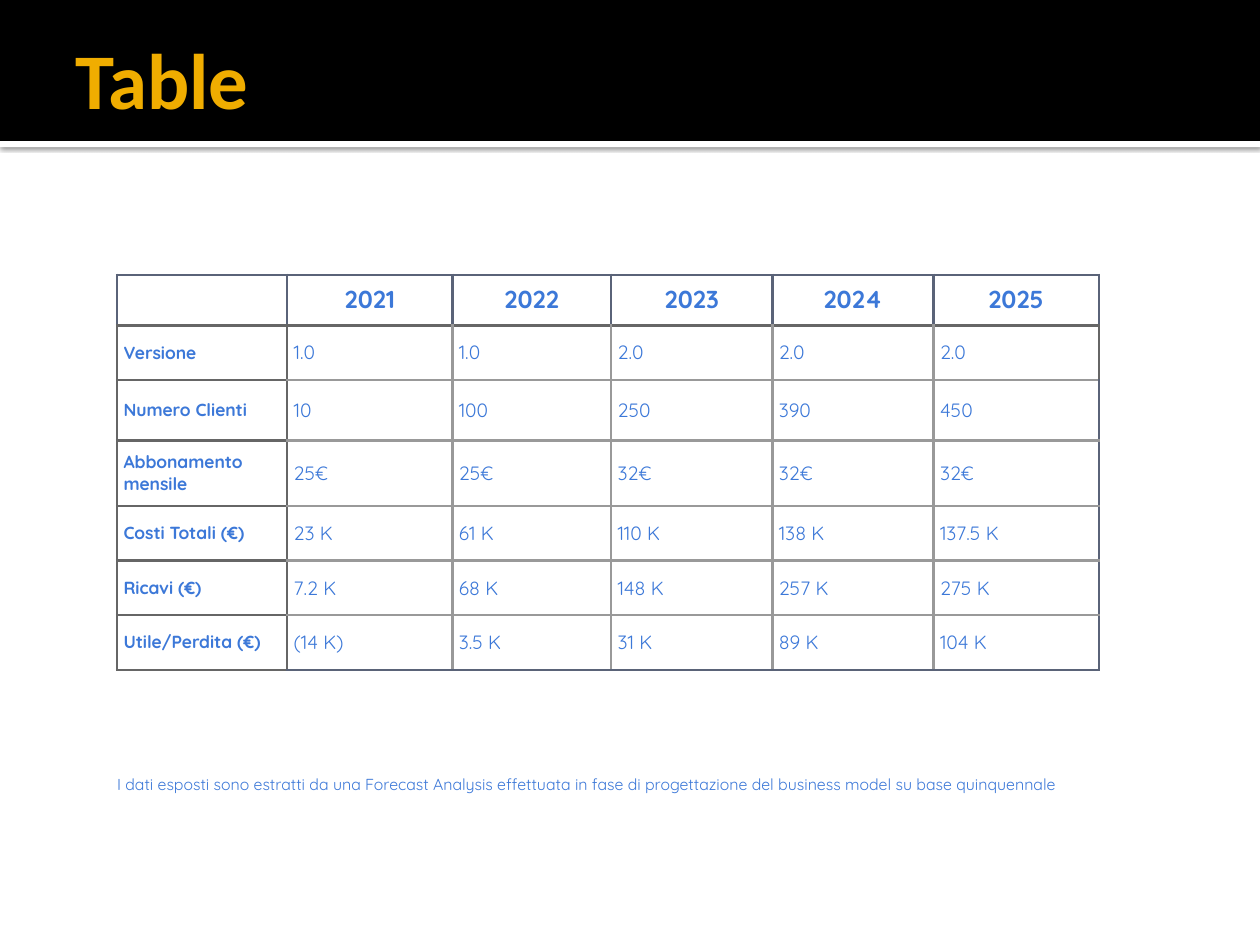
from typing import NamedTuple

import pptx
import pptx.dml.color
import pptx.enum.shapes
import pptx.enum.text
import pptx.oxml
import pptx.oxml.ns
import pptx.util
from pptx.dml.color import RGBColor
from pptx.util import Cm, Pt

BLACK = RGBColor(0x00, 0x00, 0x00)
WHITE = RGBColor(0xFF, 0xFF, 0xFF)
GOLD = RGBColor(0xF0, 0xAD, 0x00)
BLUE = RGBColor(0x3C, 0x78, 0xD8)
SLATE = RGBColor(0x5A, 0x63, 0x78)
DARK = RGBColor(0x66, 0x66, 0x66)
GREY = RGBColor(0x99, 0x99, 0x99)

ALIGN = pptx.enum.text.PP_ALIGN
ANCHOR = pptx.enum.text.MSO_ANCHOR


class Box(NamedTuple):
    """Place and size in centimetres."""
    left: float
    top: float
    width: float
    height: float


class Row(NamedTuple):
    label: str
    height: float
    values: tuple[str, ...]


COLS = (3.43, 3.33, 3.2, 3.25, 3.25, 3.33)
ROWS = (
    Row("", 1.02, ("2021", "2022", "2023", "2024", "2025")),
    Row("Versione", 1.1, ("1.0", "1.0", "2.0", "2.0", "2.0")),
    Row("Numero Clienti", 1.22, ("10", "100", "250", "390", "450")),
    Row("Abbonamento mensile", 1.32, ("25€", "25€", "32€", "32€", "32€")),
    Row("Costi Totali (€)", 1.1, ("23 K", "61 K", "110 K", "138 K", "137.5 K")),
    Row("Ricavi (€)", 1.1, ("7.2 K", "68 K", "148 K", "257 K", "275 K")),
    Row("Utile/Perdita (€)", 1.1, ("(14 K)", "3.5 K", "31 K", "89 K", "104 K")),
)
LAST_ROW, LAST_COL = len(ROWS) - 1, len(COLS) - 1


def spot(box: Box) -> list[pptx.util.Length]:
    return [Cm(side) for side in box]


def write(frame, text: str, *, size: float, color: RGBColor = BLUE,
          font: str = "Quicksand", bold: bool = False, align=ALIGN.LEFT) -> None:
    frame.word_wrap = True
    para = frame.paragraphs[0]
    para.alignment = align
    run = para.add_run()
    run.text = text
    run.font.name = font
    run.font.size = Pt(size)
    run.font.bold = bold
    run.font.color.rgb = color


def add_bar(slide, box: Box, color: RGBColor):
    bar = slide.shapes.add_shape(
        pptx.enum.shapes.MSO_SHAPE.RECTANGLE, *spot(box))
    bar.shadow.inherit = False
    bar.fill.solid()
    bar.fill.fore_color.rgb = color
    bar.line.fill.background()
    return bar


def add_shade(shape) -> None:
    """Give the shape a soft shadow straight below it."""
    effects = shape.element.spPr.find(pptx.oxml.ns.qn("a:effectLst"))
    effects.append(pptx.oxml.parse_xml(
        f'<a:outerShdw {pptx.oxml.ns.nsdecls("a")} blurRad="{Pt(2.5)}" '
        f'dist="{Pt(0.8)}" dir="5400000" algn="tl" rotWithShape="0">'
        f'<a:srgbClr val="{BLACK}"><a:alpha val="60000"/></a:srgbClr>'
        '</a:outerShdw>'))


def add_text(slide, box: Box, text: str, anchor=ANCHOR.TOP, **style) -> None:
    frame = slide.shapes.add_textbox(*spot(box)).text_frame
    frame.vertical_anchor = anchor
    write(frame, text, **style)


def under(row: int, col: int) -> RGBColor:
    """Colour of the rule below a cell; row -1 stands for the top edge."""
    if row < 0:
        return SLATE
    if row == 0 or col == 0:
        return DARK
    return SLATE if row == LAST_ROW else GREY


def beside(row: int, col: int) -> RGBColor:
    """Colour of the rule right of a cell; column -1 stands for the left edge."""
    if row == 0:
        return SLATE
    if col <= 0:
        return DARK
    if col == LAST_COL:
        return DARK if row == 1 else SLATE
    return GREY


def add_rules(cell, row: int, col: int) -> None:
    rules = {"L": beside(row, col - 1), "R": beside(row, col),
             "T": under(row - 1, col), "B": under(row, col)}
    props = cell._tc.get_or_add_tcPr()
    for spot_no, (side, color) in enumerate(rules.items()):
        props.insert(spot_no, pptx.oxml.parse_xml(
            f'<a:ln{side} {pptx.oxml.ns.nsdecls("a")} w="{Pt(1.5)}">'
            f'<a:solidFill><a:srgbClr val="{color}"/></a:solidFill>'
            f'</a:ln{side}>'))


def fill_cell(cell, text: str, row: int, col: int) -> None:
    cell.fill.background()
    add_rules(cell, row, col)
    cell.margin_left = cell.margin_right = Cm(0.13)
    cell.margin_top = cell.margin_bottom = Cm(0.18 if text else 0)
    cell.vertical_anchor = ANCHOR.MIDDLE if row else ANCHOR.TOP
    if not text:
        return
    if row == 0:
        style = {"size": 14, "bold": True, "align": ALIGN.CENTER}
    elif col == 0:
        style = {"size": 10, "bold": True}
    else:
        style = {"size": 11}
    write(cell.text_frame, text, **style)


def add_grid(slide, left: float, top: float) -> None:
    box = Box(left, top, sum(COLS), sum(row.height for row in ROWS))
    table = slide.shapes.add_table(len(ROWS), len(COLS), *spot(box)).table
    table.horz_banding = False
    table.first_row = False
    for col, width in enumerate(COLS):
        table.columns[col].width = Cm(width)
    for num, row in enumerate(ROWS):
        table.rows[num].height = Cm(row.height)
        for col, text in enumerate((row.label, *row.values)):
            fill_cell(table.cell(num, col), text, num, col)


def main() -> None:
    deck = pptx.Presentation()
    deck.slide_width, deck.slide_height = Cm(25.4), Cm(19.05)
    slide = deck.slides.add_slide(deck.slide_layouts[6])

    add_shade(add_bar(slide, Box(0, 2.84, 25.4, 0.13), WHITE))
    add_bar(slide, Box(0, 0, 25.4, 2.84), BLACK)
    add_text(slide, Box(1.27, 0.2, 22.86, 2.74), "Table", ANCHOR.MIDDLE,
             size=45, font="Calibri", color=GOLD, bold=True)
    add_grid(slide, 2.36, 5.54)
    add_text(slide, Box(2.11, 15.49, 20.93, 0.64),
             "I dati esposti sono estratti da una Forecast Analysis effettuata "
             "in fase di progettazione del business model su base quinquennale",
             size=9.1)
    deck.save("out.pptx")


if __name__ == "__main__":
    main()
